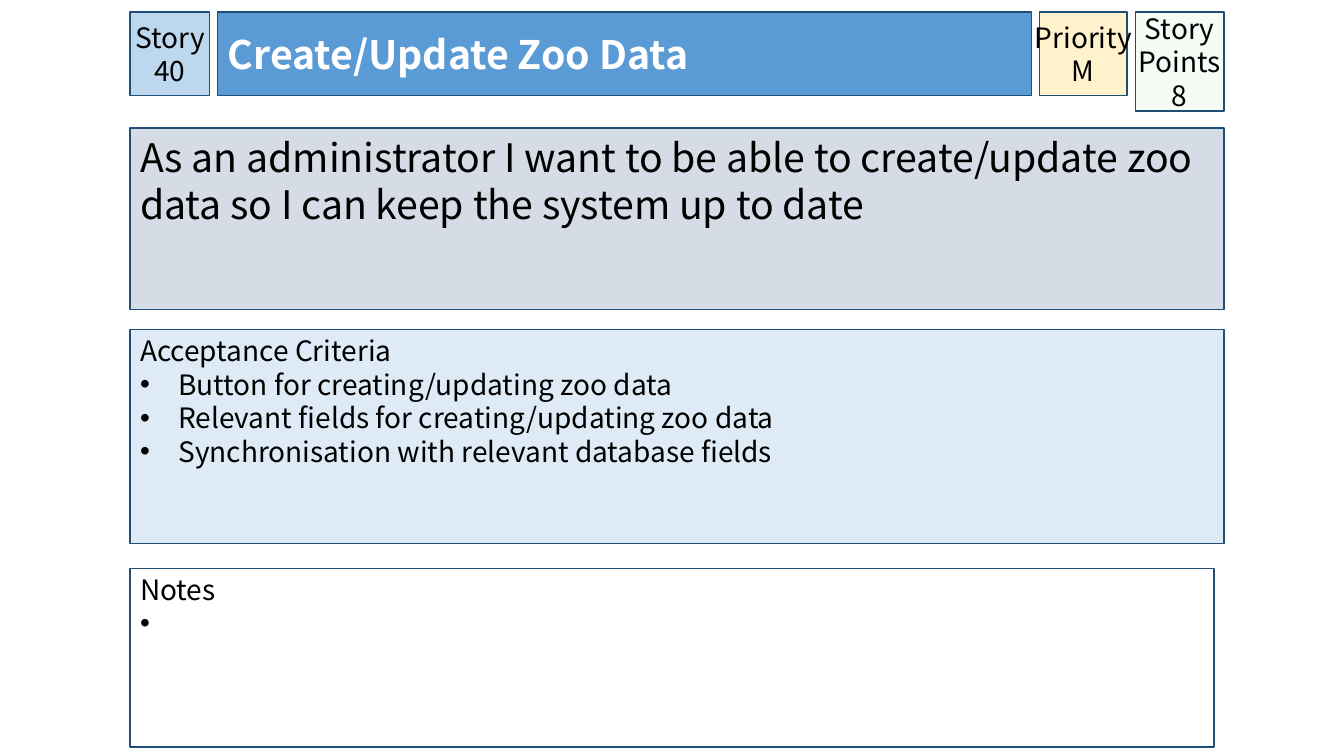
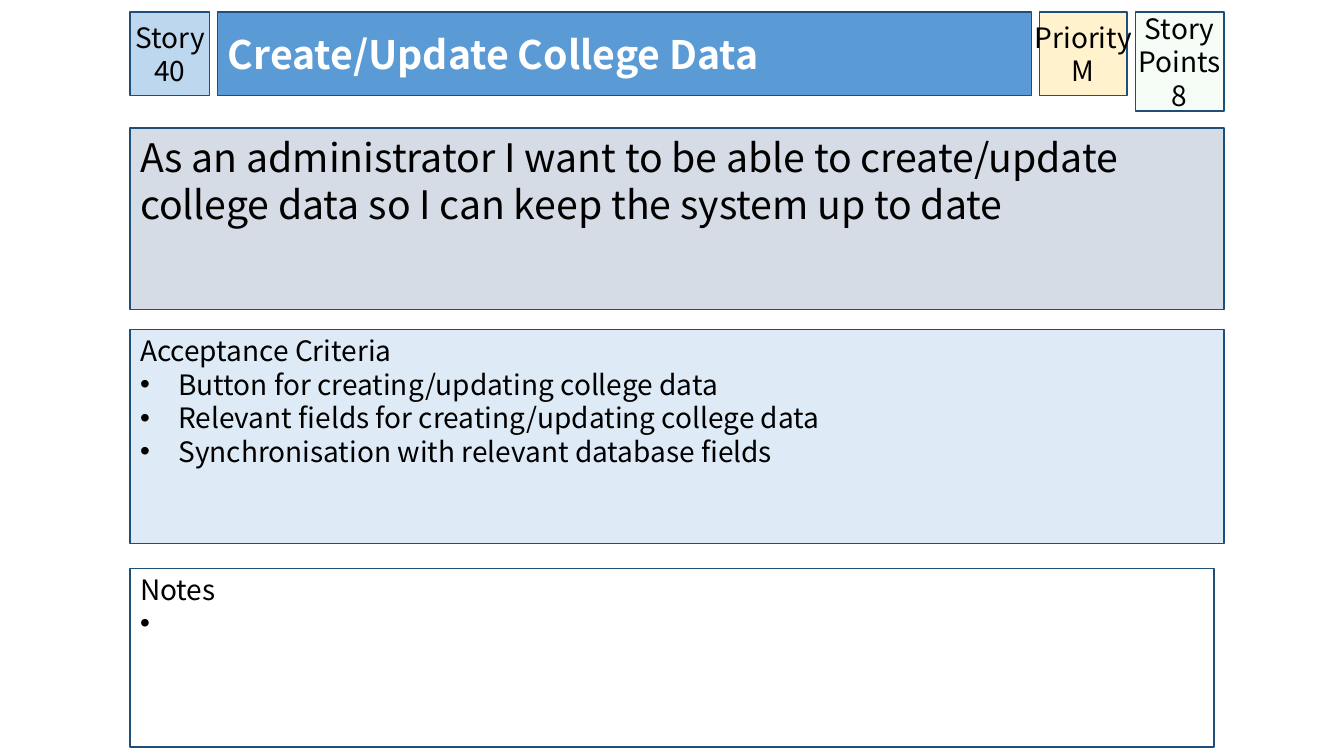
from dataclasses import dataclass

from lxml import etree
from pptx import Presentation
from pptx.dml.color import RGBColor
from pptx.enum.shapes import MSO_SHAPE
from pptx.enum.text import MSO_ANCHOR, MSO_AUTO_SIZE, PP_ALIGN
from pptx.oxml.ns import qn
from pptx.util import Inches, Pt

RECTANGLE = MSO_SHAPE.RECTANGLE
LEFT, CENTER = PP_ALIGN.LEFT, PP_ALIGN.CENTER
TOP, MIDDLE = MSO_ANCHOR.TOP, MSO_ANCHOR.MIDDLE
NO_AUTOFIT = MSO_AUTO_SIZE.NONE
TITLE_ONLY = 5


@dataclass(frozen=True)
class Theme:
    """Colours, font and sizes shared by all story cards."""
    font: str = "Noto Sans CJK KR"
    heading_size: int = 28
    body_size: int = 20
    line_width: int = 1
    text: str = "000000"
    title_text: str = "FFFFFF"
    outline: str = "1F4E79"
    number_fill: str = "BDD7EE"
    title_fill: str = "5B9BD5"
    priority_fill: str = "FFF2CC"
    points_fill: str = "CCF0CD"
    points_opacity: int = 20
    story_fill: str = "D6DCE5"
    criteria_fill: str = "DEEBF7"
    remarks_fill: str = "FFFFFF"


THEME = Theme()

CARD_LEFT = 1.29
CARD_WIDTH = 10.85
REMARKS_WIDTH = 10.75
HEADER_TOP = 0.12
HEADER_HEIGHT = 0.83
POINTS_HEIGHT = 0.98
HEADER_GAP = 0.08
HEADER_WIDTHS = (0.79, 8.07, 0.87, 0.88)
BADGE_INSETS = (0, 0.05, 0, 0.05)
TEXT_INSETS = (0.1, 0.05, 0.1, 0.05)
LIST_INSETS = (0.1, 0.04, 0.1, 0.05)

SUBJECTS = ("zoo", "college")


def header_boxes():
    """Return (left, top, width, height) of each header cell, left to right."""
    boxes, left = [], CARD_LEFT
    for width in HEADER_WIDTHS:
        boxes.append((left, HEADER_TOP, width, HEADER_HEIGHT))
        left += width + HEADER_GAP
    return boxes


def add_bullet(paragraph, indent):
    """Give a paragraph a round bullet with a hanging indent in inches."""
    properties = paragraph._p.get_or_add_pPr()
    properties.set("marL", str(Inches(indent)))
    properties.set("indent", str(-Inches(indent)))
    etree.SubElement(properties, qn("a:buFont"), typeface="Arial")
    etree.SubElement(properties, qn("a:buChar"), char="•")


def write_text(shape, lines, *, size=THEME.body_size, color=THEME.text,
               bold=False, align=LEFT, anchor=TOP, insets=TEXT_INSETS,
               wrap=True, bullet_indent=None):
    """Write one paragraph per line; with bullet_indent, bullet all but the first."""
    frame = shape.text_frame
    frame.auto_size = NO_AUTOFIT
    frame.word_wrap = wrap
    frame.vertical_anchor = anchor
    (frame.margin_left, frame.margin_top,
     frame.margin_right, frame.margin_bottom) = map(Inches, insets)
    for index, line in enumerate(lines):
        paragraph = frame.add_paragraph() if index else frame.paragraphs[0]
        paragraph.alignment = align
        run = paragraph.add_run()
        run.text = line
        run.font.name = THEME.font
        run.font.size = Pt(size)
        run.font.bold = bold
        run.font.color.rgb = RGBColor.from_string(color)
        if index and bullet_indent:
            add_bullet(paragraph, bullet_indent)


def paint(shape, fill, opacity=100):
    """Fill a shape and draw the shared outline."""
    shape.fill.solid()
    shape.fill.fore_color.rgb = RGBColor.from_string(fill)
    shape.line.color.rgb = RGBColor.from_string(THEME.outline)
    shape.line.width = Pt(THEME.line_width)
    if opacity < 100:
        color = shape._element.spPr.find(qn("a:solidFill"))[0]
        etree.SubElement(color, qn("a:alpha"), val=str(opacity * 1000))


def add_panel(slide, box, fill, lines, opacity=100, **text_format):
    """Add an outlined rectangle with text."""
    panel = slide.shapes.add_shape(RECTANGLE, *map(Inches, box))
    panel.shadow.inherit = False
    paint(panel, fill, opacity)
    write_text(panel, lines, **text_format)


def add_badge(slide, box, fill, lines, **options):
    """Add a small header cell with centred text."""
    add_panel(slide, box, fill, lines, align=CENTER, anchor=MIDDLE,
              insets=BADGE_INSETS, **options)


def set_title(slide, box, text):
    """Place and format the title placeholder as the header band."""
    title = slide.shapes.title
    title.left, title.top, title.width, title.height = map(Inches, box)
    paint(title, THEME.title_fill)
    write_text(title, [text], size=THEME.heading_size, color=THEME.title_text,
               bold=True, anchor=MIDDLE)


def add_story_card(presentation, subject):
    """Add one user story slide about the given kind of data."""
    slide = presentation.slides.add_slide(presentation.slide_layouts[TITLE_ONLY])
    number_box, title_box, priority_box, points_box = header_boxes()
    add_badge(slide, number_box, THEME.number_fill, ["Story 40"])
    set_title(slide, title_box, f"Create/Update {subject.title()} Data")
    add_panel(slide, (CARD_LEFT, 1.27, CARD_WIDTH, 1.8), THEME.story_fill,
              [f"As an administrator I want to be able to create/update {subject} "
               "data so I can keep the system up to date"],
              size=THEME.heading_size)
    add_panel(slide, (CARD_LEFT, 3.27, CARD_WIDTH, 2.12), THEME.criteria_fill,
              ["Acceptance Criteria",
               f"Button for creating/updating {subject} data",
               f"Relevant fields for creating/updating {subject} data",
               "Synchronisation with relevant database fields"],
              insets=LIST_INSETS, bullet_indent=0.38)
    add_badge(slide, (*points_box[:3], POINTS_HEIGHT), THEME.points_fill,
              ["Story Points", "8"], opacity=THEME.points_opacity)
    add_badge(slide, priority_box, THEME.priority_fill, ["Priority", "M"],
              wrap=False)
    add_panel(slide, (CARD_LEFT, 5.64, REMARKS_WIDTH, 1.77), THEME.remarks_fill,
              ["Notes", " "], insets=LIST_INSETS, bullet_indent=0.2)


def main():
    """Build and save the story cards."""
    presentation = Presentation()
    presentation.slide_width = Inches(13.33)
    presentation.slide_height = Inches(7.5)
    for subject in SUBJECTS:
        add_story_card(presentation, subject)
    presentation.save("out.pptx")


main()
